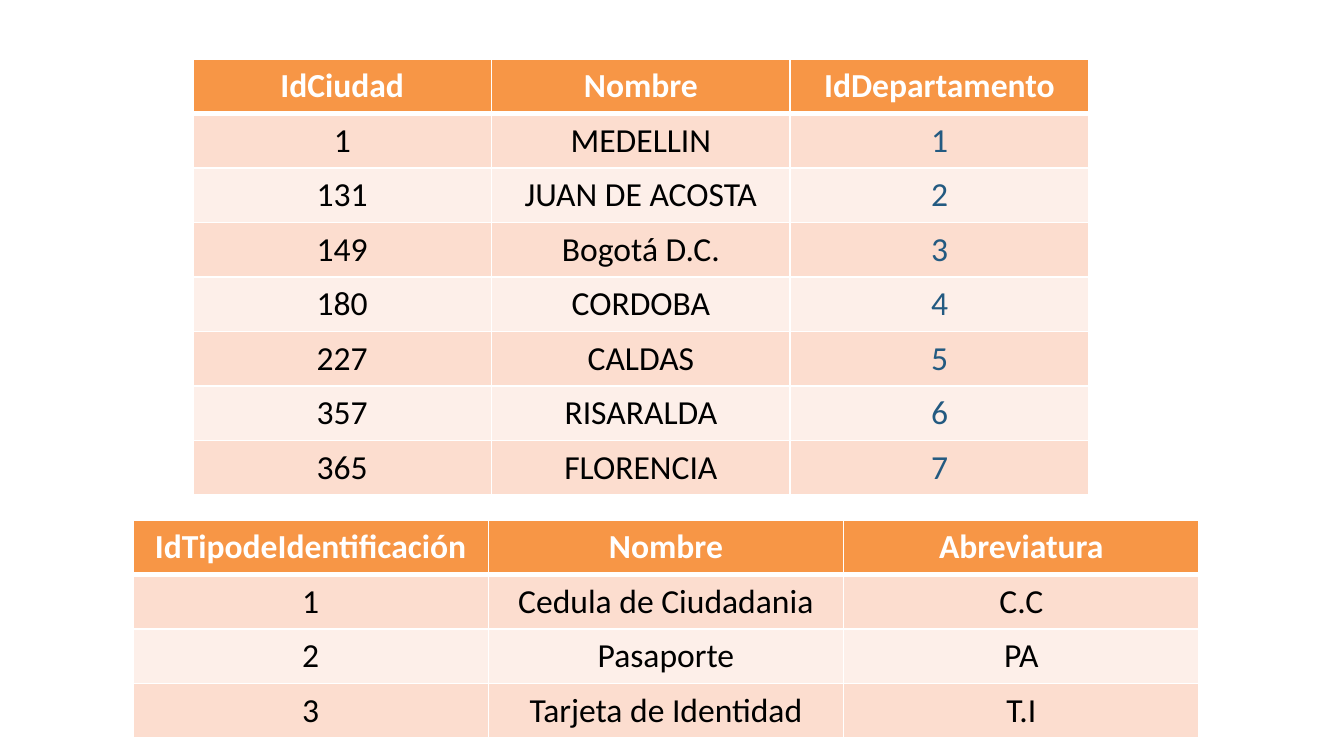
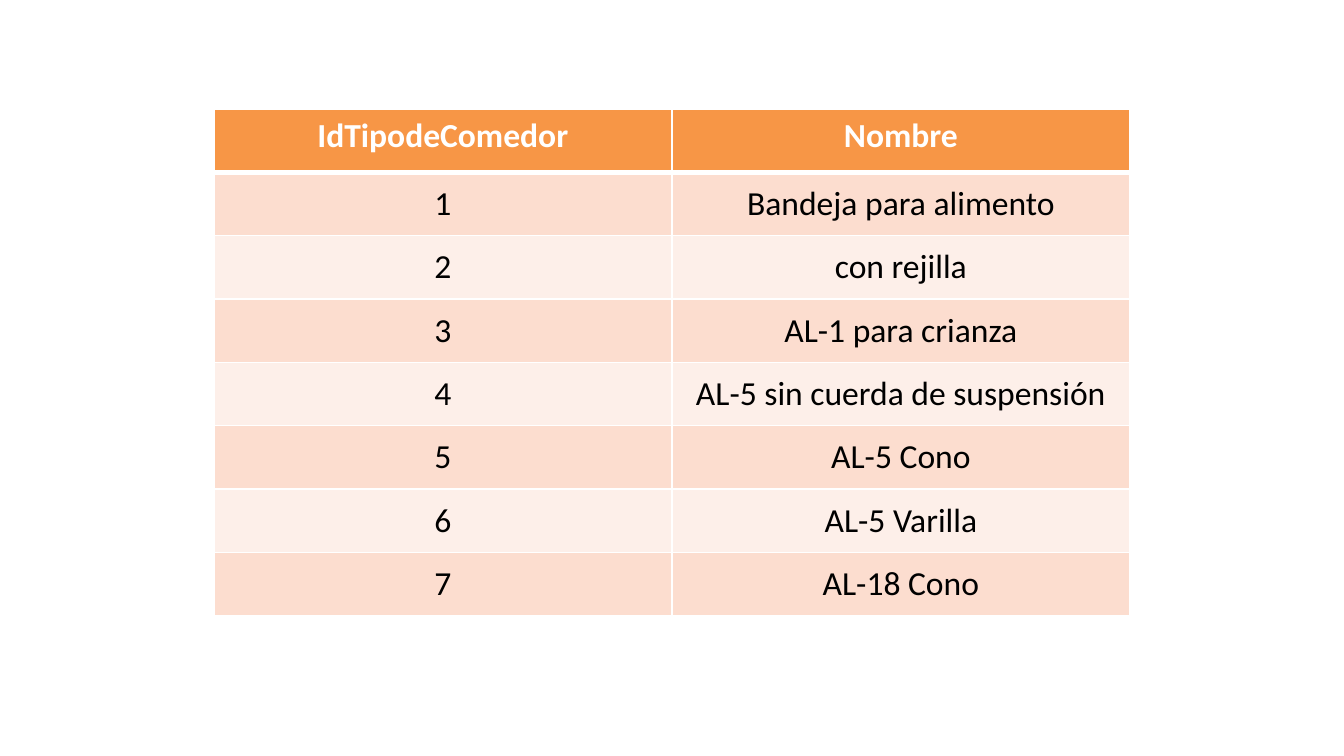
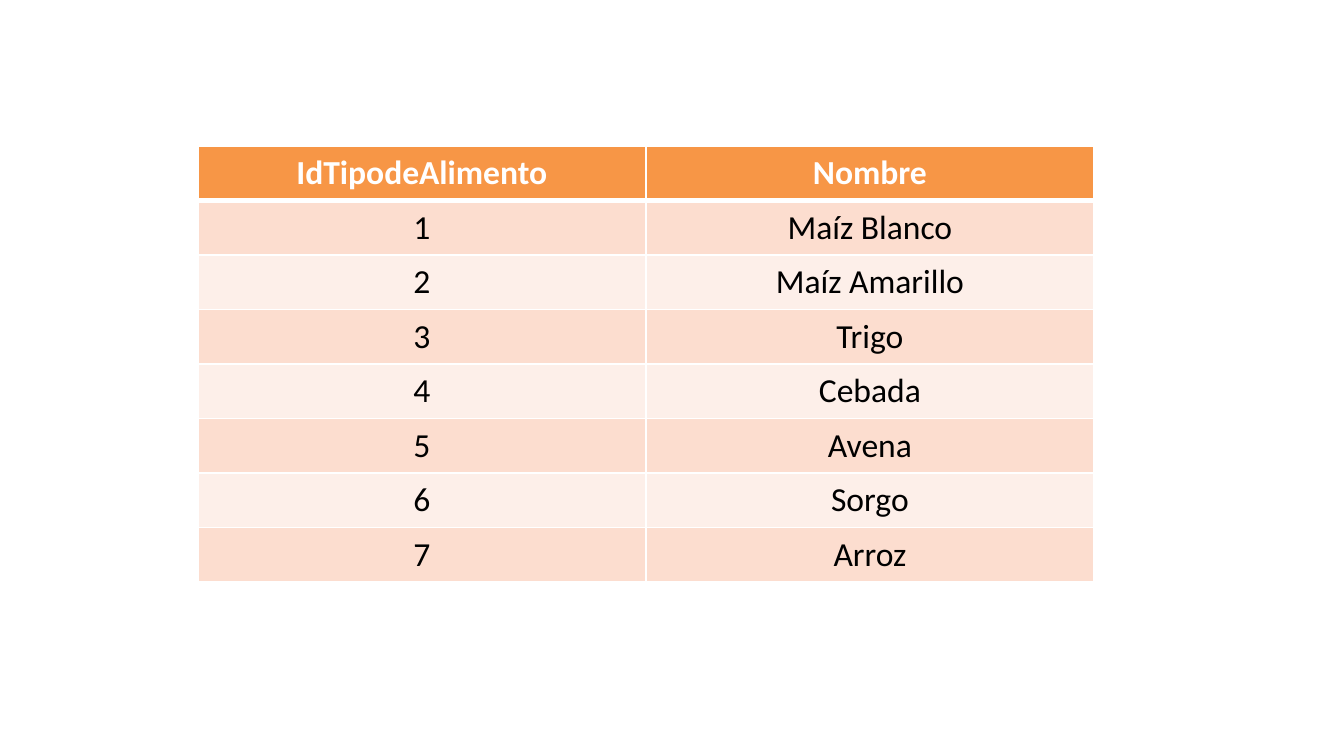
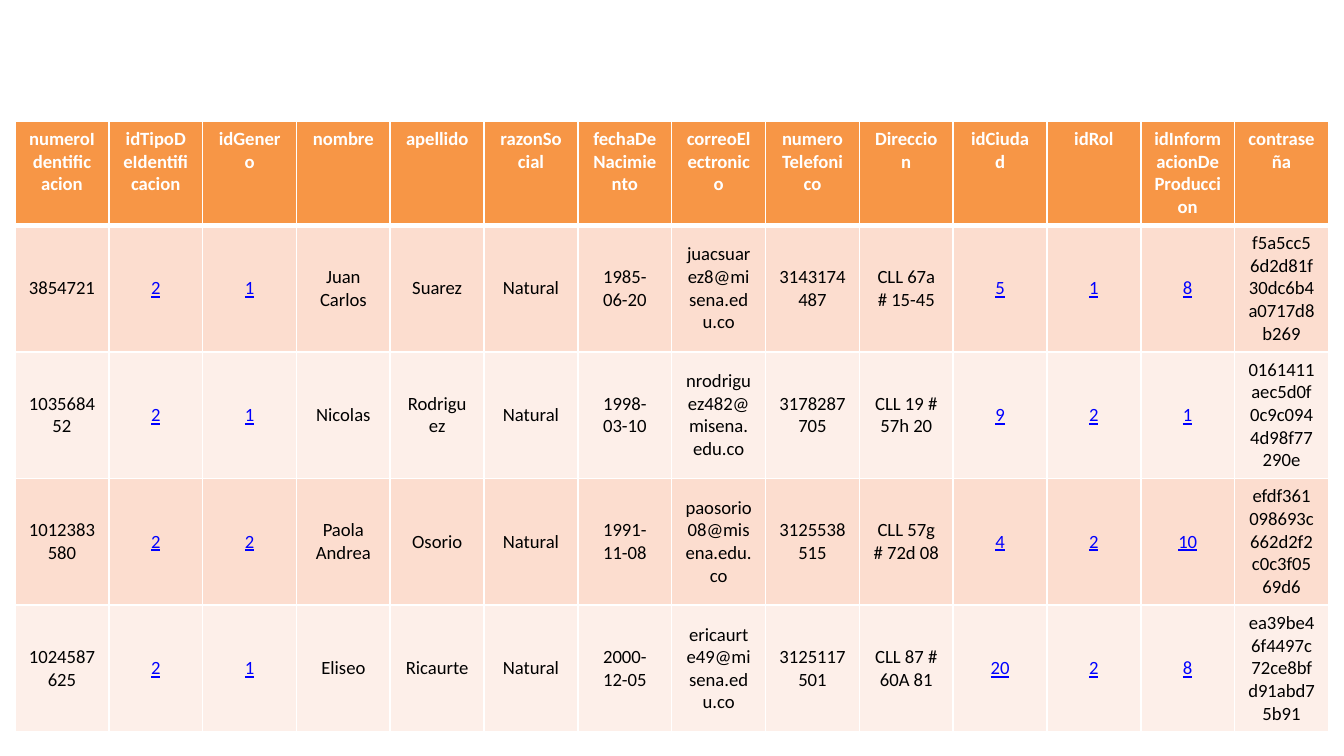
from pptx import Presentation
from pptx.dml.color import RGBColor as RGB
from pptx.enum.text import MSO_ANCHOR as Anchor, PP_ALIGN as Align
from pptx.oxml.ns import qn
from pptx.util import Pt
from lxml.etree import SubElement as Sub

PX = 914400 / 134.4
FONT = "Calibri"
COLORS = {
    "head": "F79646",
    "odd": "FCDDCF",
    "even": "FDEFE9",
    "line": "FFFFFF",
    "white": "FFFFFF",
    "text": "000000",
    "key": "235A81",
    "link": "0000FF",
}

CITIES = [
    ("IdCiudad", "Nombre", "IdDepartamento"),
    ("1", "MEDELLIN", "1"),
    ("131", "JUAN DE ACOSTA", "2"),
    ("149", "Bogotá D.C.", "3"),
    ("180", "CORDOBA", "4"),
    ("227", "CALDAS", "5"),
    ("357", "RISARALDA", "6"),
    ("365", "FLORENCIA", "7"),
]
PAPERS = [
    ("IdTipodeIdentificación", "Nombre", "Abreviatura"),
    ("1", "Cedula de Ciudadania", "C.C"),
    ("2", "Pasaporte", "PA"),
    ("3", "Tarjeta de Identidad", "T.I"),
]
FEEDERS = ["Bandeja para alimento", "con rejilla", "AL-1 para crianza",
           "AL-5 sin cuerda de suspensión", "AL-5 Cono", "AL-5 Varilla",
           "AL-18 Cono"]
FOODS = ["Maíz Blanco", "Maíz Amarillo", "Trigo", "Cebada", "Avena", "Sorgo",
         "Arroz"]
USERS = [
    ("numeroIdentificacion", "idTipoDeIdentificacion", "idGenero", "nombre",
     "apellido", "razonSocial", "fechaDeNacimiento", "correoElectronico",
     "numeroTelefonico", "Direccion", "idCiudad", "idRol",
     "idInformacionDeProduccion", "contraseña"),
    ("3854721", "2", "1", "Juan Carlos", "Suarez", "Natural", "1985-06-20",
     "juacsuarez8@misena.edu.co", "3143174487", "CLL 67a # 15-45", "5", "1",
     "8", "f5a5cc56d2d81f30dc6b4a0717d8b269"),
    ("103568452", "2", "1", "Nicolas", "Rodriguez", "Natural", "1998-03-10",
     "nrodriguez482@misena.edu.co", "3178287705", "CLL 19 # 57h 20", "9", "2",
     "1", "0161411aec5d0f0c9c0944d98f77290e"),
    ("1012383580", "2", "2", "Paola Andrea", "Osorio", "Natural", "1991-11-08",
     "paosorio08@misena.edu.co", "3125538515", "CLL 57g # 72d 08", "4", "2",
     "10", "efdf361098693c662d2f2c0c3f0569d6"),
    ("1024587625", "2", "1", "Eliseo", "Ricaurte", "Natural", "2000-12-05",
     "ericaurte49@misena.edu.co", "3125117501", "CLL 87 # 60A 81", "20", "2",
     "8", "ea39be46f4497c72ce8bfd91abd75b91"),
]
LINKS = {1, 2, 10, 11, 12}


def emu(px):
    return round(px * PX)


def color(name):
    return RGB.from_string(COLORS[name])


def number(id_name, names):
    """Rows of a two-column table whose ids count up from 1."""
    return [(id_name, "Nombre"),
            *((str(i), name) for i, name in enumerate(names, 1))]


def add_borders(cell, row):
    """White lines, thick between the header and the first body row."""
    props = cell._tc.get_or_add_tcPr()
    for side in "LRTB":
        thick = (row, side) in {(0, "B"), (1, "T")}
        line = Sub(props, qn(f"a:ln{side}"), w=str(Pt(3 if thick else 1)))
        fill = Sub(line, qn("a:solidFill"))
        Sub(fill, qn("a:srgbClr"), val=COLORS["line"])


def fill_cell(cell, row, text, size, tone, under):
    head = row == 0
    add_borders(cell, row)
    cell.fill.solid()
    band = "head" if head else "odd" if row % 2 else "even"
    cell.fill.fore_color.rgb = color(band)
    cell.vertical_anchor = Anchor.TOP if head else Anchor.MIDDLE
    para = cell.text_frame.paragraphs[0]
    para.alignment = Align.CENTER
    run = para.add_run()
    run.text = text
    font = run.font
    font.name, font.size, font.bold = FONT, Pt(size), head
    font.color.rgb = color("white" if head else tone)
    if under and not head:
        font.underline = True


def add_grid(slide, box, rows, size=18, marked=(), mark="key"):
    """Table of equal cells; the marked columns take the mark colour."""
    left, top, width, height = map(emu, box)
    table = slide.shapes.add_table(len(rows), len(rows[0]), left, top,
                                   width, height).table
    table.horz_banding = False
    for r, texts in enumerate(rows):
        for c, text in enumerate(texts):
            tone = mark if c in marked else "text"
            fill_cell(table.cell(r, c), r, text, size, tone, tone == "link")


def main():
    deck = Presentation()
    deck.slide_width, deck.slide_height = emu(1344), emu(756)
    blank = deck.slide_layouts[6]

    def new_slide():
        return deck.slides.add_slide(blank)

    places = new_slide()
    add_grid(places, (193, 59, 896, 435), CITIES, marked={2})
    add_grid(places, (133, 520, 1066, 218), PAPERS)
    add_grid(new_slide(), (214, 109, 916, 507),
             number("IdTipodeComedor", FEEDERS))
    add_grid(new_slide(), (198, 146, 896, 436),
             number("IdTipodeAlimento", FOODS))
    add_grid(new_slide(), (15, 121, 1314, 490), USERS, size=10,
             marked=LINKS, mark="link")
    deck.save("out.pptx")


if __name__ == "__main__":
    main()
